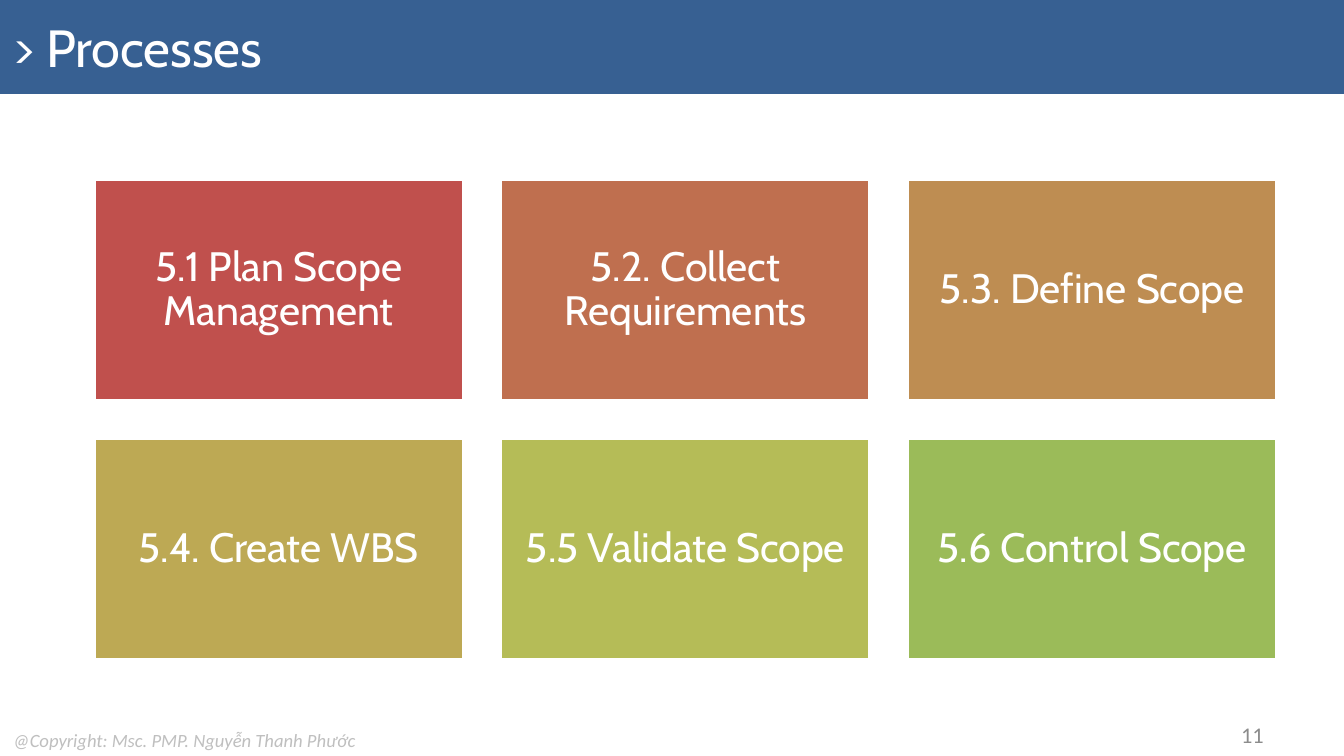
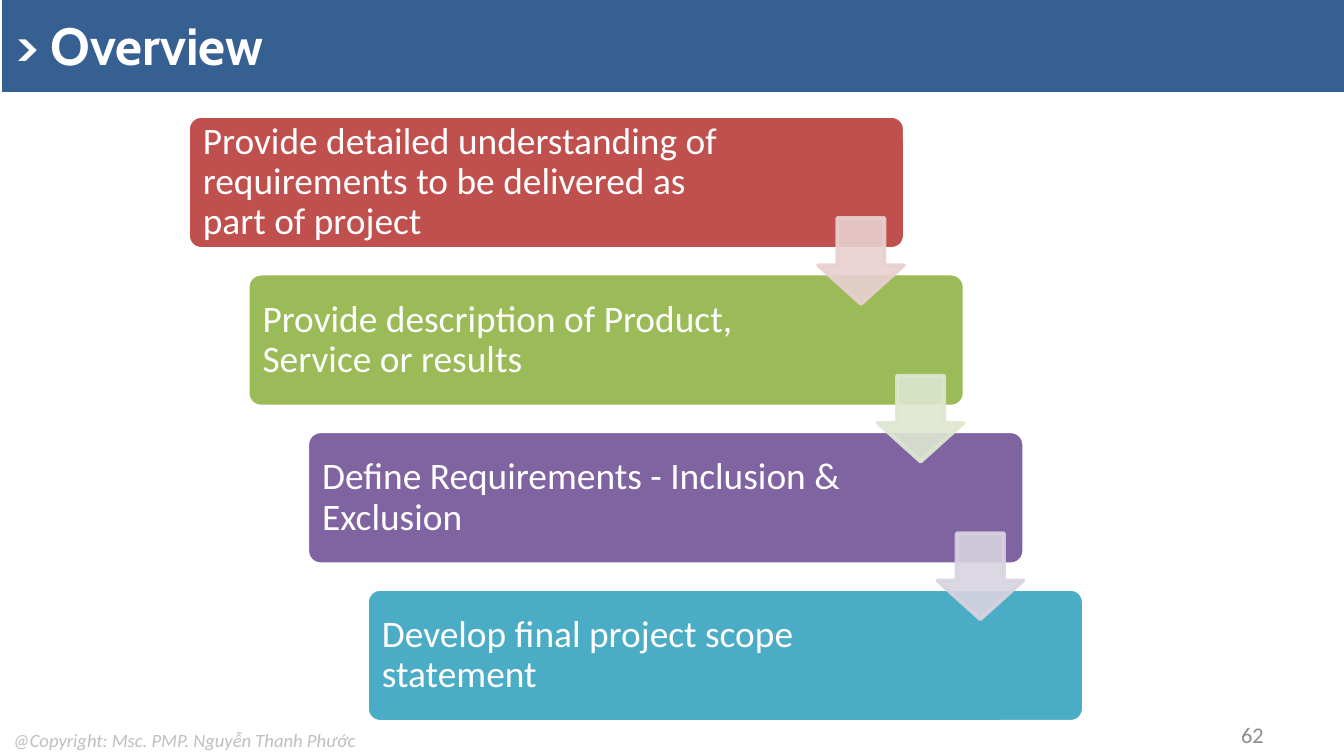
from collections import namedtuple

from lxml import etree
from pptx import Presentation
from pptx import util as u
from pptx.dml.color import RGBColor
from pptx.enum import shapes, text
from pptx.oxml.ns import qn

Box = namedtuple("Box", "left top width height")

PX = 914400 / 134.4
SLIDE = Box(0, 0, 1344, 756)

WHITE = RGBColor(0xFF, 0xFF, 0xFF)
BAND = RGBColor(0x37, 0x60, 0x92)
COPYRIGHT_GREY = RGBColor(0xBF, 0xBF, 0xBF)
NUMBER_GREY = RGBColor(0x8C, 0x8C, 0x8C)
RED = RGBColor(0xC0, 0x50, 0x4D)
RUST = RGBColor(0xBF, 0x6F, 0x4F)
OCHRE = RGBColor(0xBE, 0x8D, 0x52)
GOLD = RGBColor(0xBD, 0xA9, 0x54)
LIME = RGBColor(0xB5, 0xBC, 0x57)
GREEN = RGBColor(0x9B, 0xBB, 0x59)
PURPLE = RGBColor(0x80, 0x64, 0xA2)
TEAL = RGBColor(0x4B, 0xAC, 0xC6)
PALE_RED = RGBColor(0xE8, 0xD0, 0xD0)
PALE_GREEN = RGBColor(0xDE, 0xE7, 0xD1)
PALE_PURPLE = RGBColor(0xD8, 0xD3, 0xE0)

HEADING_FONT = "Cabin"
BODY_FONT = "Calibri"

PROCESSES = [
    ("5.1 Plan Scope Management", RED),
    ("5.2. Collect Requirements", RUST),
    ("5.3. Define Scope", OCHRE),
    ("5.4. Create WBS", GOLD),
    ("5.5 Validate Scope", LIME),
    ("5.6 Control Scope", GREEN),
]
# Each step: wording, card colour, colour of the arrow to the next step
STEPS = [
    ("Provide detailed understanding of requirements to be delivered as part of project",
     RED, PALE_RED),
    ("Provide description of Product, Service or results", GREEN, PALE_GREEN),
    ("Define Requirements - Inclusion & Exclusion", PURPLE, PALE_PURPLE),
    ("Develop final project scope statement", TEAL, None),
]


def px(value):
    return u.Emu(round(value * PX))


def emu(box):
    return [px(value) for value in box]


def write(shape, wording, size, color=WHITE, font=BODY_FONT, bold=False, italic=False,
          align=text.PP_ALIGN.LEFT, anchor=text.MSO_ANCHOR.MIDDLE, wrap=True):
    frame = shape.text_frame
    frame.auto_size = text.MSO_AUTO_SIZE.NONE
    frame.word_wrap = wrap
    frame.vertical_anchor = anchor
    frame.text = wording
    paragraph = frame.paragraphs[0]
    paragraph.alignment = align
    paragraph.font.name = font
    paragraph.font.size = u.Pt(size)
    paragraph.font.bold = bold
    paragraph.font.italic = italic
    paragraph.font.color.rgb = color
    return paragraph


def set_margins(frame, margin, right=None):
    frame.margin_left = frame.margin_top = frame.margin_bottom = px(margin)
    frame.margin_right = px(margin if right is None else right)


def add_block(slide, kind, box, fill, line=WHITE):
    shape = slide.shapes.add_shape(kind, *emu(box))
    shape.shadow.inherit = False
    shape.fill.solid()
    shape.fill.fore_color.rgb = fill
    shape.line.color.rgb = line
    shape.line.width = u.Pt(2)
    return shape


def add_base(presentation, title, number, band, bold=False):
    slide = presentation.slides.add_slide(presentation.slide_layouts[5])
    # Title band
    heading = slide.shapes.title
    heading.left, heading.top, heading.width, heading.height = emu(band)
    heading.fill.solid()
    heading.fill.fore_color.rgb = BAND
    write(heading, title, 28, font=HEADING_FONT, bold=bold)
    # Footer
    notice = slide.shapes.add_textbox(*emu(Box(0, 722, 378, 36)))
    write(notice, "@Copyright: Msc. PMP. Nguyễn Thanh Phước", 10, COPYRIGHT_GREY,
          italic=True, anchor=text.MSO_ANCHOR.TOP, wrap=False)
    page = slide.shapes.add_textbox(*emu(Box(964, 715, 313, 40)))
    write(page, number, 12, NUMBER_GREY, align=text.PP_ALIGN.RIGHT)
    return slide


def add_process_grid(slide, box, columns=3, gap=37):
    rows = len(PROCESSES) // columns
    width = (box.width - gap * (columns - 1)) / columns
    height = (box.height - gap * (rows - 1)) / rows
    for index, (name, color) in enumerate(PROCESSES):
        row, column = divmod(index, columns)
        tile = add_block(slide, shapes.MSO_SHAPE.RECTANGLE,
                         Box(box.left + column * (width + gap),
                             box.top + row * (height + gap), width, height), color)
        set_margins(tile.text_frame, 12)
        paragraph = write(tile, name, 22, font=HEADING_FONT, align=text.PP_ALIGN.CENTER)
        paragraph.line_spacing = 0.9


def add_arrow(slide, box, color):
    arrow = add_block(slide, shapes.MSO_SHAPE.DOWN_ARROW, box, color, color)
    arrow.adjustments[0] = 0.55
    arrow.adjustments[1] = 0.45
    # Slight transparency of fill and outline
    for element in arrow.fill._xPr.iter(qn("a:srgbClr")):
        etree.SubElement(element, qn("a:alpha")).set("val", "90000")


def add_staircase(slide, box, width=717, height=133):
    step_x = (box.width - width) / (len(STEPS) - 1)
    step_y = (box.height - height) / (len(STEPS) - 1)
    places = [Box(box.left + index * step_x, box.top + index * step_y, width, height)
              for index in range(len(STEPS))]
    # Cards
    for place, (wording, color, _) in zip(places, STEPS):
        card = add_block(slide, shapes.MSO_SHAPE.ROUNDED_RECTANGLE, place, color)
        card.adjustments[0] = 0.1
        set_margins(card.text_frame, 11, right=158)
        write(card, wording, 20).line_spacing = 0.9
    # Arrows lie over the cards they join
    for place, (_, _, color) in zip(places, STEPS):
        if color is not None:
            add_arrow(slide, Box(place.left + 630, place.top + 102, 86, 86), color)


def main():
    presentation = Presentation()
    presentation.slide_width = px(SLIDE.width)
    presentation.slide_height = px(SLIDE.height)

    processes = add_base(presentation, "> Processes", "11", Box(0, 0, 1344, 94))
    add_process_grid(processes, Box(94, 179, 1183, 481))

    overview = add_base(presentation, "> Overview", "62", Box(2, -2, 1342, 94), bold=True)
    add_staircase(overview, Box(188, 116, 896, 606))

    presentation.save("out.pptx")


if __name__ == "__main__":
    main()
